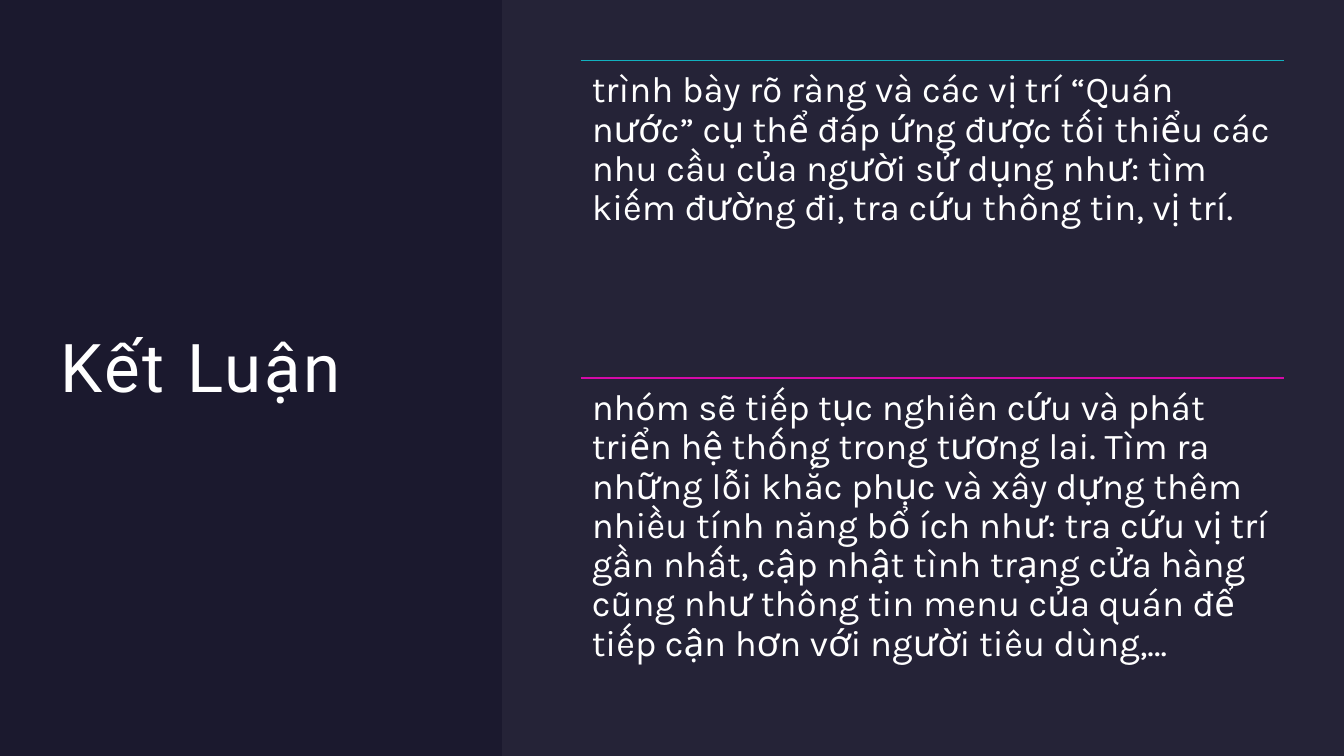
from lxml import etree
from pptx import Presentation
from pptx.dml.color import RGBColor
from pptx.enum.shapes import MSO_CONNECTOR, MSO_SHAPE
from pptx.enum.text import MSO_ANCHOR, MSO_AUTO_SIZE, PP_ALIGN
from pptx.oxml.ns import qn
from pptx.util import Inches, Pt

RECTANGLE = MSO_SHAPE.RECTANGLE
STRAIGHT = MSO_CONNECTOR.STRAIGHT
TOP, MIDDLE = MSO_ANCHOR.TOP, MSO_ANCHOR.MIDDLE
LEFT = PP_ALIGN.LEFT
NO_FIT = MSO_AUTO_SIZE.NONE

TITLE = "Kết Luận"
CONCLUSIONS = [
    ("12B1BF", "trình bày rõ ràng và các vị trí “Quán nước” cụ thể đáp ứng được "
               "tối thiểu các nhu cầu của người sử dụng như: tìm kiếm đường đi, "
               "tra cứu thông tin, vị trí."),
    ("D40AA8", "nhóm sẽ tiếp tục nghiên cứu và phát triển hệ thống trong tương lai. "
               "Tìm ra những lỗi khắc phục và xây dựng thêm nhiều tính năng bổ ích "
               "như: tra cứu vị trí gần nhất, cập nhật tình trạng cửa hàng cũng như "
               "thông tin menu của quán để tiếp cận hơn với người tiêu dùng,…"),
]
NIGHT, MIST, WHITE = "1B192E", "E4E3F0", "FFFFFF"

WIDTH, HEIGHT = 13.33, 7.5
MARGIN = 0.6
TITLE_WIDTH, TITLE_HEIGHT = 3.9, 6.06
PANEL_LEFT = 4.98
COLUMN_LEFT = 5.76
COLUMN_WIDTH = WIDTH - MARGIN - COLUMN_LEFT
ROW_HEIGHT = 3.15


def color(value):
    return RGBColor.from_string(value)


def write(box, text, *, font, size, inset=0, anchor=TOP, line=1.0, spacing=0):
    frame = box.text_frame
    frame.word_wrap = True
    frame.auto_size = NO_FIT
    frame.vertical_anchor = anchor
    frame.margin_left = frame.margin_right = Inches(inset)
    frame.margin_top = frame.margin_bottom = Inches(inset)
    para = frame.paragraphs[0]
    para.alignment = LEFT
    para.line_spacing = line
    span = para.add_run()
    span.text = text
    span.font.name = font
    span.font.size = Pt(size)
    span.font.color.rgb = color(WHITE)
    if spacing:
        span.font._element.set("spc", str(spacing * 100))


def add_panel(page, left, fill, opacity=100):
    panel = page.shapes.add_shape(
        RECTANGLE, Inches(left), 0, Inches(WIDTH - left), Inches(HEIGHT))
    panel.shadow.inherit = False
    panel.line.fill.background()
    panel.fill.solid()
    panel.fill.fore_color.rgb = color(fill)
    if opacity < 100:
        tint = panel.element.spPr.find(qn("a:solidFill"))[0]
        etree.SubElement(tint, qn("a:alpha")).set("val", str(opacity * 1000))
    return panel


def add_conclusion(group, top, accent, text):
    left, right, y = Inches(COLUMN_LEFT), Inches(COLUMN_LEFT + COLUMN_WIDTH), Inches(top)
    rule = group.shapes.add_connector(STRAIGHT, left, y, right, y)
    rule.line.color.rgb = color(accent)
    rule.line.width = Pt(1)
    etree.SubElement(rule.element.spPr, qn("a:effectLst"))
    box = group.shapes.add_textbox(left, y, right - left, Inches(ROW_HEIGHT))
    write(box, text, font="Karla", size=26, inset=0.11, line=0.9)


def main():
    deck = Presentation()
    deck.slide_width, deck.slide_height = Inches(WIDTH), Inches(HEIGHT)
    page = deck.slides.add_slide(deck.slide_layouts[5])
    page.background.fill.solid()
    page.background.fill.fore_color.rgb = color(NIGHT)

    title = page.shapes.title
    title.left = title.top = Inches(MARGIN)
    title.width, title.height = Inches(TITLE_WIDTH), Inches(TITLE_HEIGHT)
    write(title, TITLE, font="Roboto", size=48, anchor=MIDDLE, spacing=2)

    backdrop = add_panel(page, 0, NIGHT)
    title.element.addprevious(backdrop.element)
    add_panel(page, PANEL_LEFT, MIST, opacity=5)

    group = page.shapes.add_group_shape()
    for row, (accent, text) in enumerate(CONCLUSIONS):
        add_conclusion(group, MARGIN + row * ROW_HEIGHT, accent, text)

    deck.save("out.pptx")


if __name__ == "__main__":
    main()
